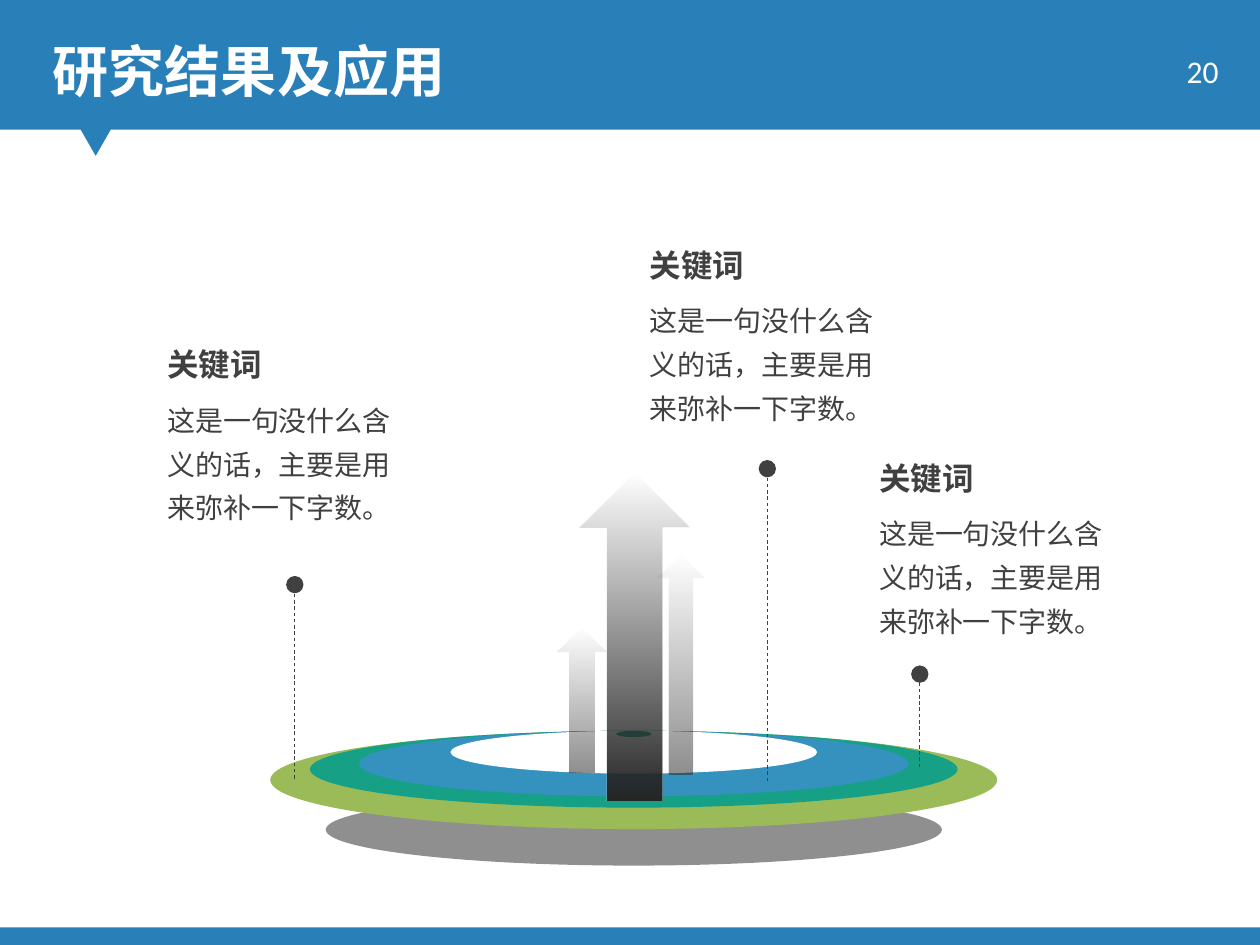
import pptx
import pptx.dml.color
import pptx.enum.dml
import pptx.enum.shapes
import pptx.enum.text
import pptx.oxml
import pptx.oxml.ns
import pptx.util
from pptx.util import Inches

THEME = {
    "blue": "2980B9", "white": "FFFFFF", "shadow": "000000", "ink": "404040",
    "arrow": "262626", "green": "9BBB59", "teal": "16A085", "sky": "3592BE",
    "title_font": "Calibri", "body_font": "Noto Sans CJK SC",
    "title_size": 32, "heading_size": 18, "body_size": 16,
}
RGB = pptx.dml.color.RGBColor.from_string
SHAPE = pptx.enum.shapes.MSO_SHAPE
ANCHOR = pptx.enum.text.MSO_ANCHOR
NAMESPACE = pptx.oxml.ns.nsdecls("a")


def style_span(span, size, color, font, bold=False):
    span.font.size = pptx.util.Pt(size)
    span.font.bold = bold
    span.font.color.rgb = RGB(THEME[color])
    span.font.name = THEME[font]
    east_asian = f'<a:ea {NAMESPACE} typeface="{THEME["body_font"]}"/>'
    span.font._element.append(pptx.oxml.parse_xml(east_asian))


def finish_shape(shape, opacities=()):
    """Remove outline and shadow, and give each fill colour its opacity in percent."""
    shape.shadow.inherit = False
    shape.line.fill.background()
    colors = shape._element.spPr.xpath(".//a:srgbClr")
    for color, opacity in zip(colors, opacities):
        alpha = f'<a:alpha {NAMESPACE} val="{opacity * 1000}"/>'
        color.append(pptx.oxml.parse_xml(alpha))


deck = pptx.Presentation()
deck.slide_width, deck.slide_height = Inches(10), Inches(7.5)
page = deck.slides.add_slide(deck.slide_layouts[5])

# The blue background shows as header and footer around the white panel
page.background.fill.solid()
page.background.fill.fore_color.rgb = RGB(THEME["blue"])
outline = [(0.64, 1.03), (0.76, 1.24), (0.88, 1.03), (10, 1.03), (10, 7.36), (0, 7.36)]
builder = page.shapes.build_freeform(Inches(0), Inches(1.03))
builder.add_line_segments([(Inches(x), Inches(y)) for x, y in outline], close=True)
panel = builder.convert_to_shape()
panel.fill.solid()
panel.fill.fore_color.rgb = RGB(THEME["white"])
finish_shape(panel)

title = page.shapes.title
title.left, title.top = Inches(0.32), Inches(0.24)
title.width, title.height = Inches(7.76), Inches(0.64)
title.text_frame.text = "研究结果及应用"
title.text_frame.auto_size = pptx.enum.text.MSO_AUTO_SIZE.NONE
title.text_frame.vertical_anchor = ANCHOR.TOP
title.text_frame.paragraphs[0].alignment = pptx.enum.text.PP_ALIGN.LEFT
style_span(title.text_frame.paragraphs[0].runs[0], THEME["title_size"],
           "white", "title_font", bold=True)

number = page.shapes.add_textbox(Inches(8.87), Inches(0.31), Inches(0.9), Inches(0.5))
number.text_frame.text = "20"
number.text_frame.word_wrap = True
number.text_frame.vertical_anchor = ANCHOR.MIDDLE
number.text_frame.paragraphs[0].alignment = pptx.enum.text.PP_ALIGN.RIGHT
style_span(number.text_frame.paragraphs[0].runs[0], THEME["heading_size"],
           "white", "title_font")

# Target: ellipses on one centre line, the rings touching at their top
center, ring_top = 5.03, 5.8
ellipses = [
    ("shadow", 6.3, 4.89, 0.57, 44),
    ("green", ring_top, 5.77, 0.78, 100),
    ("teal", ring_top, 5.14, 0.61, 100),
    ("sky", ring_top, 4.36, 0.52, 100),
    ("white", ring_top, 2.91, 0.34, 100),
    ("teal", ring_top, 0.28, 0.05, 100),
]
for color, top, width, height, opacity in ellipses:
    ellipse = page.shapes.add_shape(SHAPE.OVAL, Inches(center - width / 2), Inches(top),
                                    Inches(width), Inches(height))
    ellipse.fill.solid()
    ellipse.fill.fore_color.rgb = RGB(THEME[color])
    finish_shape(ellipse, [opacity])

# Dashed leaders from the target up to their dots
for x, bottom, top in [(2.34, 6.18, 4.64), (7.3, 6.09, 5.35), (6.09, 6.2, 3.72)]:
    leader = page.shapes.add_connector(pptx.enum.shapes.MSO_CONNECTOR.STRAIGHT,
                                       Inches(x), Inches(bottom), Inches(x), Inches(top))
    leader.line.color.rgb = RGB(THEME["ink"])
    leader.line.width = pptx.util.Pt(0.5)
    leader.line.dash_style = pptx.enum.dml.MSO_LINE.DASH
    dot = f'<a:tailEnd {NAMESPACE} type="oval" w="lg" len="lg"/>'
    leader.line._get_or_add_ln().append(pptx.oxml.parse_xml(dot))
    leader._element.spPr.append(pptx.oxml.parse_xml(f"<a:effectLst {NAMESPACE}/>"))

# Arrows fading out towards their tips
arrows = [
    (5.21, 4.4, 0.38, 1.75, 52),
    (4.42, 4.98, 0.39, 1.15, 52),
    (4.6, 3.75, 0.87, 2.6, 100),
]
for left, top, width, height, opacity in arrows:
    arrow = page.shapes.add_shape(SHAPE.UP_ARROW, Inches(left), Inches(top),
                                  Inches(width), Inches(height))
    arrow.fill.gradient()
    arrow.fill.gradient_angle = 270
    for stop in arrow.fill.gradient_stops:
        stop.color.rgb = RGB(THEME["arrow"])
    finish_shape(arrow, [0, opacity])

for left, top in [(1.23, 2.6), (5.06, 1.81), (6.88, 3.5)]:
    box = page.shapes.add_textbox(Inches(left), Inches(top), Inches(2.15), Inches(1.62))
    box.text_frame.word_wrap = True
    box.text_frame.text = "关键词\n这是一句没什么含义的话，主要是用来弥补一下字数。"
    heading, body = box.text_frame.paragraphs
    heading.line_spacing = body.line_spacing = 1.3
    body.space_before = pptx.util.Pt(6)
    style_span(heading.runs[0], THEME["heading_size"], "ink", "body_font", bold=True)
    style_span(body.runs[0], THEME["body_size"], "ink", "body_font")

deck.save("out.pptx")
